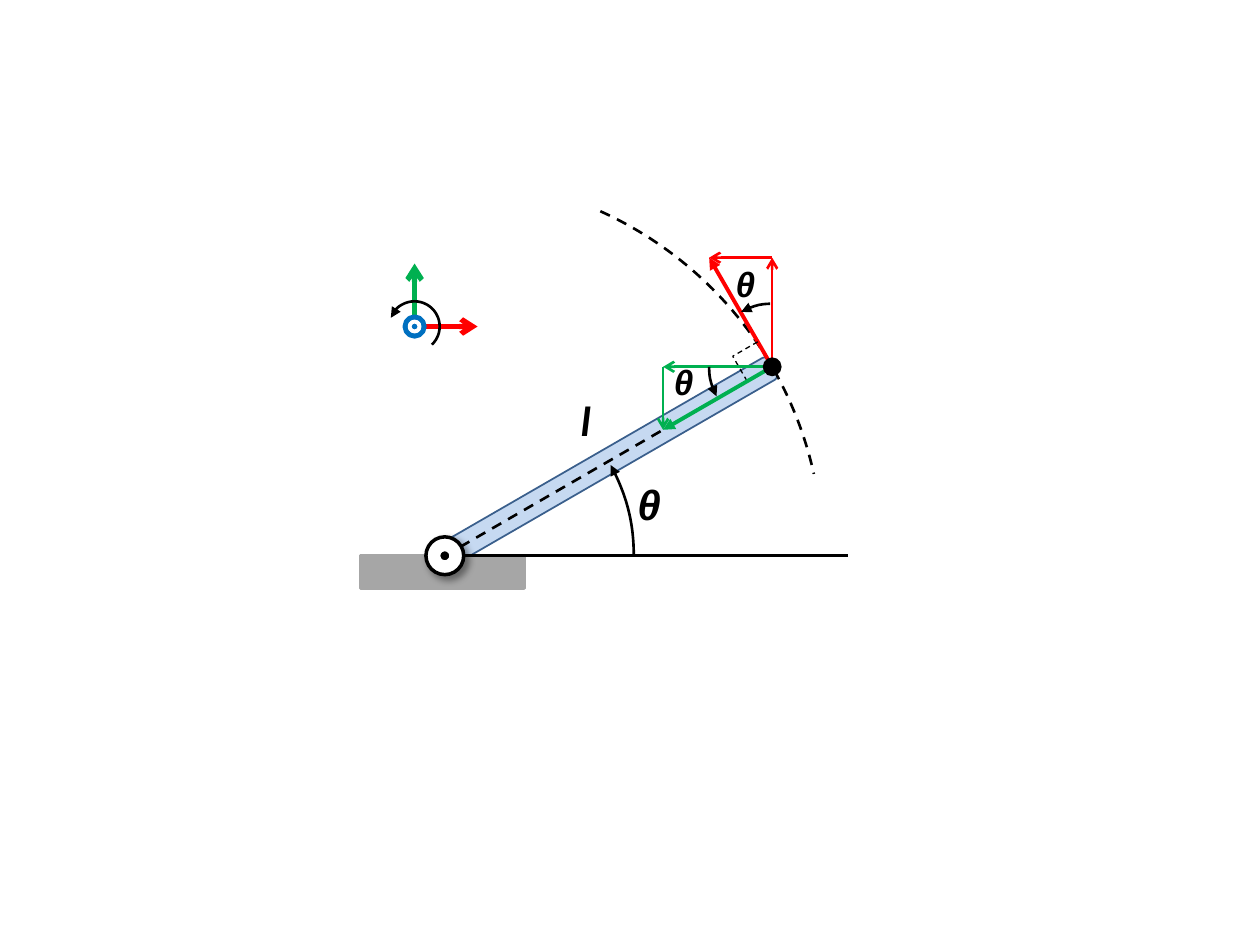
import math

import pptx
import pptx.dml.color
import pptx.enum.dml
import pptx.enum.shapes
import pptx.enum.text
import pptx.oxml.ns
import pptx.util
from lxml import etree

Pt = pptx.util.Pt
SHAPE = pptx.enum.shapes.MSO_SHAPE
C = {"black": "000000", "white": "FFFFFF", "red": "FF0000", "green": "00B050", "blue": "0070C0",
     "bar": "C6D9F1", "bar_edge": "3A5F8C", "ground": "A6A6A6"}

# Geometry, in points
THETA = math.radians(30)
LENGTH, BAR_WIDTH, VECTOR, CORNER = 216, 14.4, 72, 16.5
PIVOT = (254.2, 317.6)
ORIGIN = (236.9, 186.6)
AXIS = 36
INWARD = (-math.cos(THETA), math.sin(THETA))
TANGENT = (-math.sin(THETA), -math.cos(THETA))

# text, font, size, left, top, width, height
LABELS = {
    "angle": ("θ", "Arial", 24, 357.1, 270, 27.4, 36),
    "length": ("l", "Calibri", 24, 324.7, 221.8, 25.2, 36),
    "velocity": ("θ", "Arial", 20, 413.3, 146.2, 25.2, 31.7),
    "radial": ("θ", "Arial", 20, 378, 202.3, 25.2, 31.7),
}


def color(name):
    return pptx.dml.color.RGBColor.from_string(C[name])


def move(point, direction, distance):
    return tuple(p + d * distance for p, d in zip(point, direction))


def effects(sp):
    """Give the shape an empty effect list, which switches off the theme shadow."""
    return etree.SubElement(sp._element.spPr, pptx.oxml.ns.qn("a:effectLst"))


def outline(sp, name, width, dash=False, head=None, tail=None):
    sp.line.color.rgb = color(name)
    sp.line.width = Pt(width)
    if dash:
        sp.line.dash_style = pptx.enum.dml.MSO_LINE.DASH
    ln = sp.line._get_or_add_ln()
    for tag, kind in (("a:headEnd", head), ("a:tailEnd", tail)):
        if kind:
            etree.SubElement(ln, pptx.oxml.ns.qn(tag), type=kind)


def shape(shapes, kind, center, width, height, fill=None, line=None, **style):
    """Add a shape around its center; line is (colour, width)."""
    sp = shapes.add_shape(kind, Pt(center[0] - width / 2), Pt(center[1] - height / 2),
                          Pt(width), Pt(height))
    if fill:
        sp.fill.solid()
        sp.fill.fore_color.rgb = color(fill)
    else:
        sp.fill.background()
    if line:
        outline(sp, *line, **style)
    else:
        sp.line.fill.background()
    sp.shadow.inherit = False
    return sp


def circle(shapes, center, size, fill, line=None):
    return shape(shapes, SHAPE.OVAL, center, size, size, fill, line)


def arc(shapes, center, radius, start, end, **style):
    """Add an arc that runs clockwise from start to end, in degrees."""
    sp = shape(shapes, SHAPE.ARC, center, 2 * radius, 2 * radius, line=("black", 1.5), **style)
    for i, degrees in enumerate((start, end)):
        sp.adjustments[i] = degrees * 0.6
    return sp


def line(shapes, start, end, name="black", width=1.5, **style):
    cx = shapes.add_connector(pptx.enum.shapes.MSO_CONNECTOR.STRAIGHT,
                              *(Pt(v) for v in (*start, *end)))
    outline(cx, name, width, **style)
    effects(cx)


def label(shapes, key):
    text, font, size, *box = LABELS[key]
    tf = shapes.add_textbox(*(Pt(v) for v in box)).text_frame
    tf.word_wrap = False
    tf.auto_size = pptx.enum.text.MSO_AUTO_SIZE.SHAPE_TO_FIT_TEXT
    r = tf.paragraphs[0].add_run()
    r.text = text
    r.font.name, r.font.size = font, Pt(size)
    r.font.bold = r.font.italic = True
    r.font.color.rgb = color("black")


def drop_shadow(sp):
    effect_list = sp._element.spPr.find(pptx.oxml.ns.qn("a:effectLst"))
    shadow = etree.SubElement(effect_list, pptx.oxml.ns.qn("a:outerShdw"), blurRad=str(Pt(4)),
                              dist=str(Pt(3)), dir=str(45 * 60000), algn="tl", rotWithShape="0")
    clr = etree.SubElement(shadow, pptx.oxml.ns.qn("a:srgbClr"), val=C["black"])
    etree.SubElement(clr, pptx.oxml.ns.qn("a:alpha"), val="40000")


def draw_arm(shapes, tip):
    middle = move(PIVOT, INWARD, -LENGTH / 2)
    bar = shape(shapes, SHAPE.ROUNDED_RECTANGLE, middle, BAR_WIDTH, LENGTH, "bar", ("bar_edge", 1))
    bar.rotation = 90 - math.degrees(THETA)
    arc(shapes, PIVOT, LENGTH, 294.3, 347.5, dash=True)
    shape(shapes, SHAPE.RECTANGLE, (252.7, 326.9), 93.6, 18.7, "ground", ("ground", 2))
    line(shapes, PIVOT, move(PIVOT, (1, 0), 230.4))
    label(shapes, "angle")
    label(shapes, "length")
    line(shapes, tip, PIVOT, dash=True)
    joint = shapes.add_group_shape().shapes
    drop_shadow(circle(joint, PIVOT, 21.6, "white", ("black", 2)))
    circle(joint, PIVOT, 7.2, "black", ("white", 2))
    arc(shapes, PIVOT, LENGTH / 2, 331.3, 0, head="triangle")


def draw_vectors(shapes, tip):
    velocity = move(tip, TANGENT, VECTOR)
    above = (tip[0], velocity[1])
    line(shapes, above, velocity, "red", tail="arrow")
    line(shapes, tip, above, "red", tail="arrow")
    line(shapes, tip, velocity, "red", 2.25, tail="triangle")
    arc(shapes, tip, VECTOR / 2, 240.5, 268.2, head="triangle")
    label(shapes, "velocity")

    corner = shapes.add_group_shape().shapes
    side = move(tip, TANGENT, CORNER)
    far = move(side, INWARD, CORNER)
    for end in (side, move(tip, INWARD, CORNER)):
        line(corner, end, far, width=0.75, dash=True)

    radial = move(tip, INWARD, VECTOR)
    beside = (radial[0], tip[1])
    line(shapes, tip, beside, "green", tail="arrow")
    line(shapes, beside, radial, "green", tail="arrow")
    line(shapes, tip, radial, "green", 2.25, tail="triangle")
    arc(shapes, tip, VECTOR / 2, 152, 179.9, head="triangle")
    label(shapes, "radial")
    circle(shapes, tip, 10.8, "black")


def draw_axes(shapes):
    axes = shapes.add_group_shape().shapes
    for direction, name in (((1, 0), "red"), ((0, -1), "green")):
        line(axes, ORIGIN, move(ORIGIN, direction, AXIS), name, 3, tail="arrow")
    circle(axes, ORIGIN, 10.8, "white", ("blue", 3))
    circle(axes, ORIGIN, 5.6, "blue", ("white", 2.25))
    arc(axes, ORIGIN, 14.4, 200.1, 46.2, head="triangle")


def main():
    prs = pptx.Presentation()
    prs.slide_width, prs.slide_height = Pt(720), Pt(540)
    s = prs.slides.add_slide(prs.slide_layouts[6])
    tip = move(PIVOT, INWARD, -LENGTH)
    draw_arm(s.shapes, tip)
    draw_vectors(s.shapes, tip)
    draw_axes(s.shapes)
    prs.save("out.pptx")


if __name__ == "__main__":
    main()
